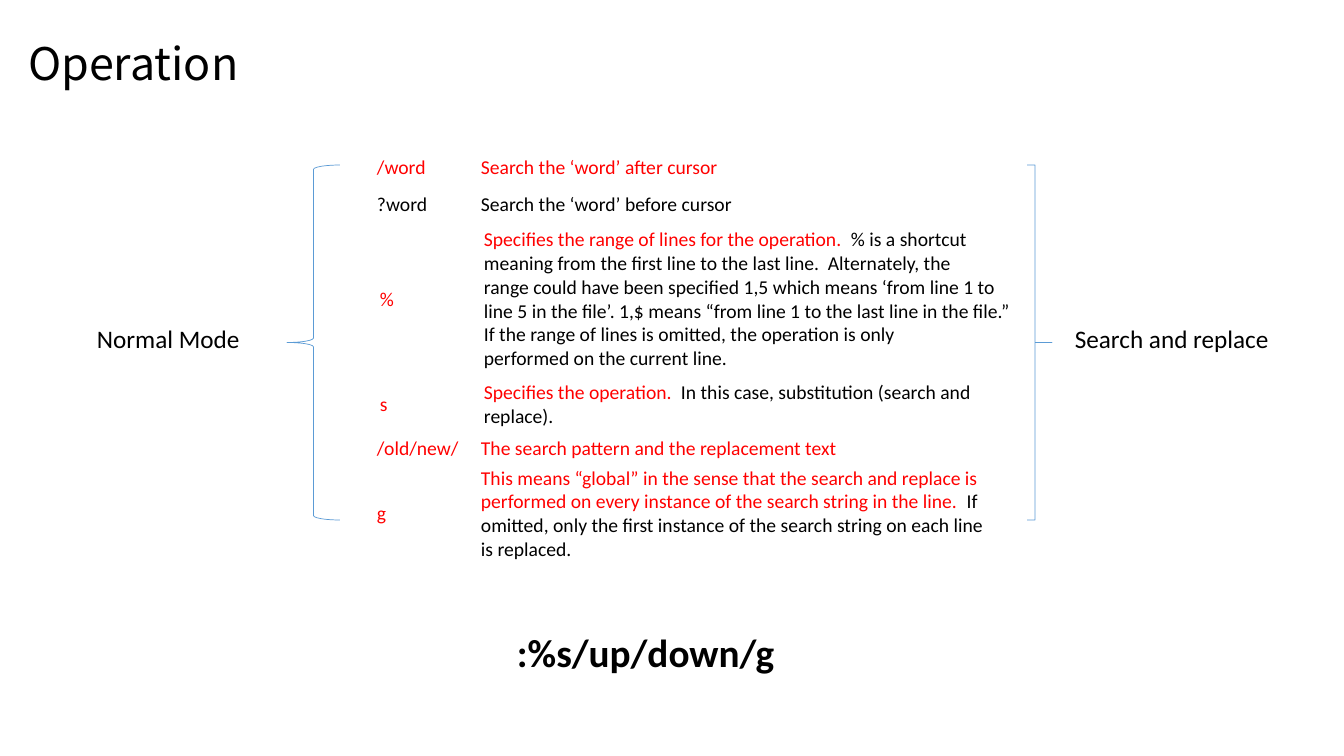
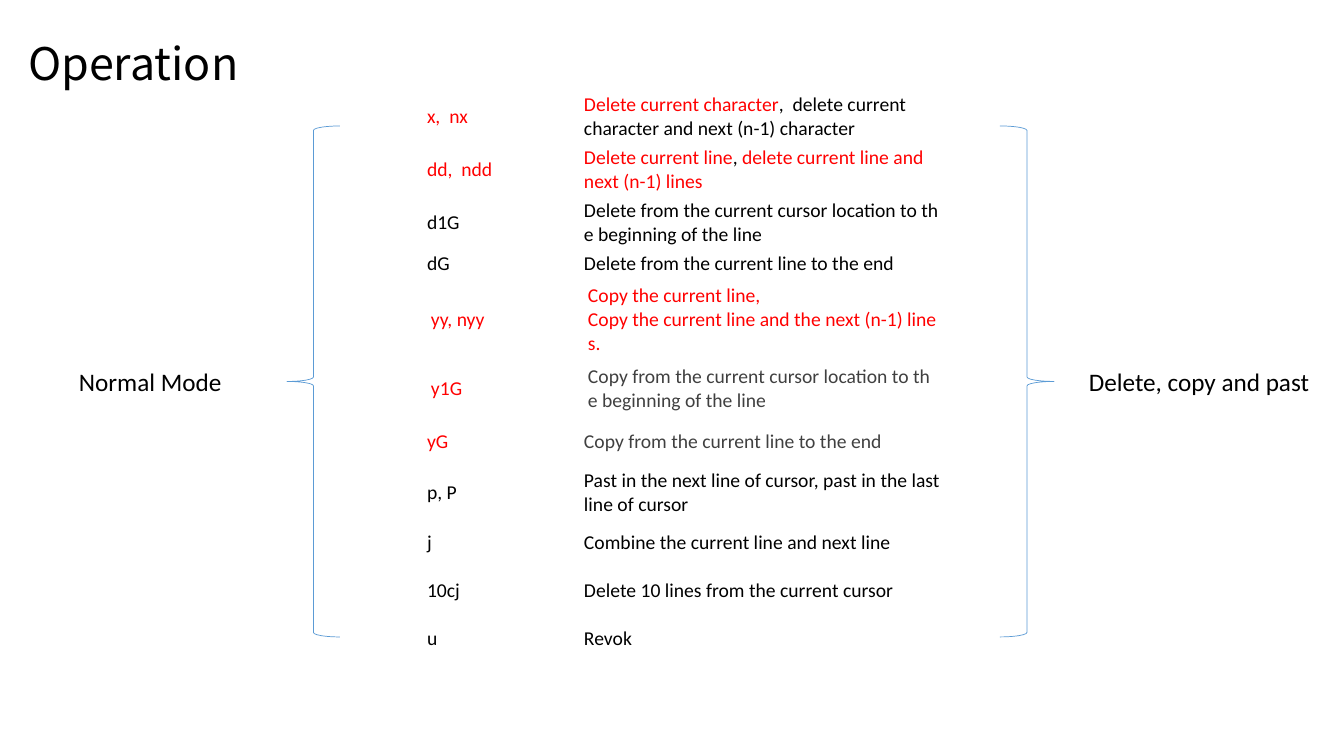
from pptx import Presentation
from pptx import util as u
from pptx.dml.color import RGBColor
from pptx.enum import shapes, text

PX = u.Inches(1) / 100.8
COLORS = {"black": "000000", "red": "FF0000", "gray": "404040",
          "white": "FFFFFF", "blue": "5B9BD5"}
BODY, HEAD = "Calibri", "Noto Sans CJK SC"
TITLE_BOX = (18, 31, 240, 64)
WIDE = (10, 5)


def nb(words):
    return words.replace(" ", chr(160))


def row(height, key, key_color, *paragraphs, inset=None):
    return {"height": height, "inset": inset,
            "cells": [[[(key, key_color)]], paragraphs]}


SEARCH_ROWS = [
    row(39, "/word", "red", [("Search the ‘word’ after cursor", "red")]),
    row(36, "?word", "black", [("Search the ‘word’ before cursor", "black")]),
    row(153, "%", "red",
        [("Specifies the range of lines for the operation.  ", "red"),
         ("% is a shortcut \vmeaning from the first line to the last line.  "
          "Alternately, the \vrange could have been specified 1,5 which means "
          "‘from line 1 to line 5 in the file’. 1,$ means “from line 1 to "
          "the last line in the file.” ", "black")],
        [("If the range of lines is omitted, the operation is only "
          + nb("performed on the current line."), "black")], inset=WIDE),
    row(58, "s", "red",
        [("Specifies the operation. ", "red"),
         (" In this case, substitution (search and \vreplace).", "black")],
        inset=WIDE),
    row(29, "/old/new/", "red",
        [("The search pattern and the replacement text", "red")]),
    row(101, "g", "red",
        [("This means “global” in the sense that the search and replace is \v"
          "performed on every instance of the search string in the line. ", "red"),
         (" If \vomitted, only the first instance of the search string on "
          "each line \vis replaced.", "black")]),
]

EDIT_ROWS = [
    row(53, "x,  nx", "red",
        [("Delete current character", "red"),
         (",  delete current character and next (n-1) character", "black")]),
    row(53, "dd,  ndd", "red",
        [("Delete current line", "red"), (", ", "black"),
         ("delete current line and next (n-1) lines", "red")]),
    row(53, "d1G", "black",
        [(nb("Delete from the current cursor location to the beginning of the line"),
          "black")]),
    row(30, "dG", "black",
        [(nb("Delete from the current line to the end"), "black")]),
    row(81, "yy, nyy", "red",
        [(nb("Copy the current line,") + " "
          + nb("Copy the current line and the next (n-1) lines."), "red")],
        inset=WIDE),
    row(58, "y1G", "red",
        [(nb("Copy from the current cursor location to the beginning of the line"),
          "gray")], inset=WIDE),
    row(48, "yG", "red",
        [(nb("Copy from the current line to the end"), "gray")]),
    row(53, "p, P", "black",
        [("Past in the next line of cursor, past in the last line of cursor",
          "black")]),
    row(48, "j", "black", [("Combine the current line and next line", "black")]),
    row(48, "10cj", "black", [("Delete 10 lines from the current cursor", "black")]),
    row(48, "u", "black", [("Revok", "black")]),
]

SLIDES = [
    {"title": "Operation",
     "labels": [("Normal Mode", (87, 318, 164, 40)),
                ("Search and replace", (1065, 318, 217, 40))],
     "braces": [("LEFT_BRACE", (287, 165, 53, 355), None),
                ("RIGHT_BRACE", (1018, 165, 34, 355), 0)],
     "table": {"at": (370, 148), "cols": (104, 552), "inset": (7, 3),
               "rows": SEARCH_ROWS},
     "command": (":%s/up/down/g", (507, 623, 333, 89))},
    {"title": "Operation",
     "labels": [("Normal Mode", (69, 361, 164, 40)),
                ("Delete, copy and past", (1079, 361, 244, 40))],
     "braces": [("LEFT_BRACE", (287, 126, 53, 511), None),
                ("RIGHT_BRACE", (1000, 126, 54, 511), None)],
     "table": {"at": (421, 90), "cols": (157, 371), "inset": (6, 3),
               "rows": EDIT_ROWS}},
]


def px(*lengths):
    return [u.Emu(round(n * PX)) for n in lengths]


def rgb(color):
    return RGBColor.from_string(COLORS[color])


def style(p, size, font=BODY, color=None, bold=False):
    p.alignment = text.PP_ALIGN.LEFT
    p.font.size, p.font.name, p.font.bold = u.Pt(size), font, bold
    if color:
        p.font.color.rgb = rgb(color)


def add_title(s, title):
    sp = s.shapes.title
    sp.left, sp.top, sp.width, sp.height = px(*TITLE_BOX)
    tf = sp.text_frame
    tf.text = title
    tf.word_wrap = False
    tf.vertical_anchor = text.MSO_ANCHOR.MIDDLE
    style(tf.paragraphs[0], 32, HEAD, "black")


def add_text(s, words, box, size=18, bold=False, wrap=False):
    tf = s.shapes.add_textbox(*px(*box)).text_frame
    tf.text = words
    tf.word_wrap = wrap
    style(tf.paragraphs[0], size, color="black", bold=bold)


def add_brace(s, kind, box, curve):
    sp = s.shapes.add_shape(getattr(shapes.MSO_SHAPE, kind), *px(*box))
    sp.shadow.inherit = False
    sp.fill.background()
    sp.line.color.rgb = rgb("blue")
    sp.line.width = u.Pt(0.5)
    if curve is not None:
        sp.adjustments[0] = curve


def fill_cell(cell, paragraphs, inset):
    cell.fill.solid()
    cell.fill.fore_color.rgb = rgb("white")
    cell.vertical_anchor = text.MSO_ANCHOR.MIDDLE
    across, down = px(*inset)
    cell.margin_left = cell.margin_right = across
    cell.margin_top = cell.margin_bottom = down
    tf = cell.text_frame
    for i, runs in enumerate(paragraphs):
        p = tf.add_paragraph() if i else tf.paragraphs[0]
        style(p, 14)
        for words, color in runs:
            for j, line in enumerate(words.split("\v")):
                if j:
                    p.add_line_break()
                r = p.add_run()
                r.text = line
                r.font.color.rgb = rgb(color)


def add_commands(s, spec_table):
    rows, cols = spec_table["rows"], spec_table["cols"]
    size = (sum(cols), sum(entry["height"] for entry in rows))
    table = s.shapes.add_table(len(rows), len(cols),
                               *px(*spec_table["at"], *size)).table
    table.first_row = table.horz_banding = False
    for column, width in zip(table.columns, px(*cols)):
        column.width = width
    for i, entry in enumerate(rows):
        table.rows[i].height = px(entry["height"])[0]
        for j, paragraphs in enumerate(entry["cells"]):
            fill_cell(table.cell(i, j), paragraphs,
                      entry["inset"] or spec_table["inset"])


def main():
    prs = Presentation()
    prs.slide_width, prs.slide_height = px(1344, 756)
    for content in SLIDES:
        s = prs.slides.add_slide(prs.slide_layouts[5])
        add_title(s, content["title"])
        for words, box in content["labels"]:
            add_text(s, words, box)
        for brace in content["braces"]:
            add_brace(s, *brace)
        add_commands(s, content["table"])
        if "command" in content:
            add_text(s, *content["command"], size=28, bold=True, wrap=True)
    prs.save("out.pptx")


if __name__ == "__main__":
    main()
